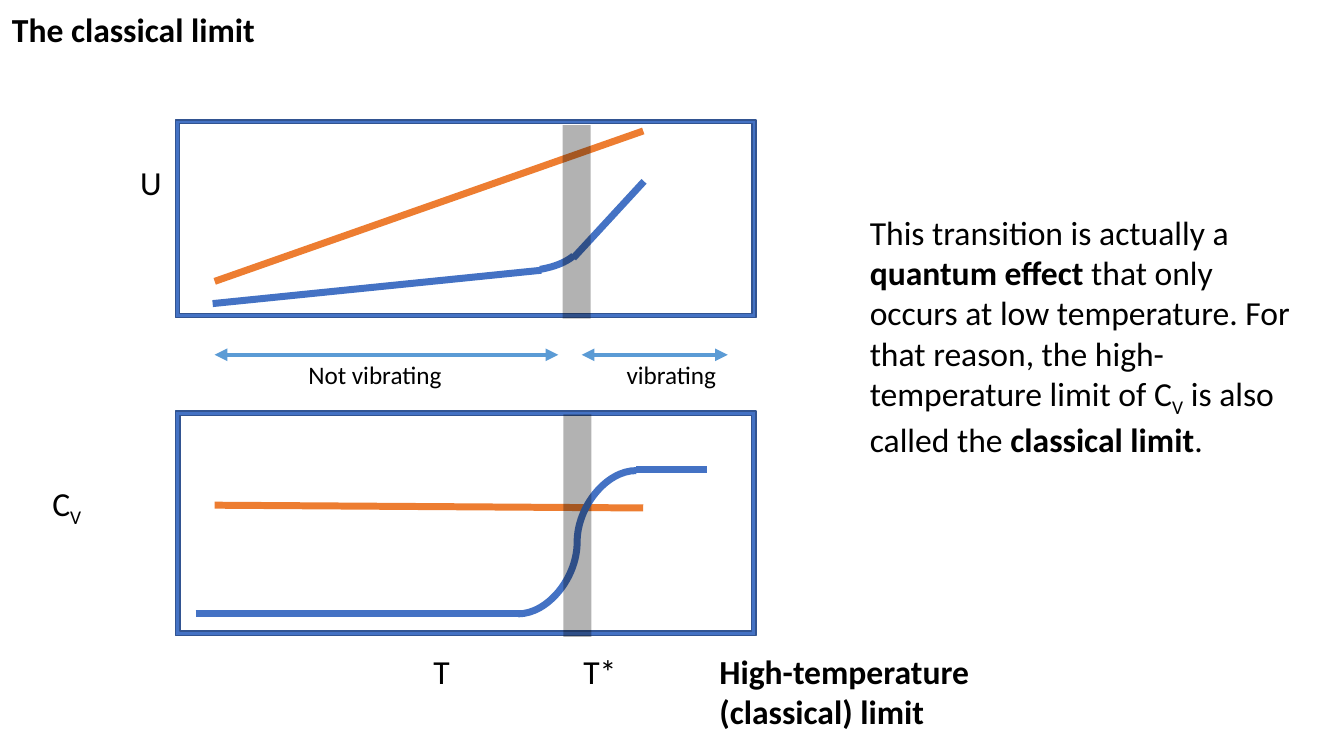
from pptx import Presentation
from pptx.dml.color import RGBColor as Rgb
from pptx.enum.shapes import MSO_CONNECTOR as Link, MSO_SHAPE as Kind
from pptx.oxml.ns import qn
from pptx.util import Cm, Pt
from lxml.etree import SubElement as Sub

HUES = {"black": "000000", "blue": "4472C4", "edge": "325491",
        "orange": "ED7D31", "sky": "5B9BD5"}


def hue(name):
    return Rgb.from_string(HUES[name])


def text(slide, box, words, size=24, bold=False):
    """Write words; a list holds (string, style) runs, style "b" or "sub"."""
    frame = slide.shapes.add_textbox(*map(Cm, box)).text_frame
    frame.word_wrap = True
    runs = [(words, "")] if isinstance(words, str) else words
    for part, style in runs:
        run = frame.paragraphs[0].add_run()
        run.text = part
        font = run.font
        font.name, font.size = "Calibri", Pt(size)
        font.bold = bold or style == "b"
        font.color.rgb = hue("black")
        if style == "sub":
            run._r.get_or_add_rPr().set("baseline", "-25000")


def line(slide, start, end, color, width=5, kind=Link.STRAIGHT,
         heads=False, alpha=None):
    link = slide.shapes.add_connector(kind, *map(Cm, (*start, *end)))
    link.line.color.rgb = hue(color)
    link.line.width = Pt(width)
    props = link._element.spPr
    stroke = props.find(qn("a:ln"))
    if alpha:
        tint = stroke.find(".//" + qn("a:srgbClr"))
        Sub(tint, qn("a:alpha")).set("val", str(alpha * 1000))
    if heads:
        for tip in ("a:headEnd", "a:tailEnd"):
            Sub(stroke, qn(tip)).set("type", "triangle")
    Sub(props, qn("a:effectLst"))


def shape(slide, kind, box, adjust, edge, width, fill=None):
    form = slide.shapes.add_shape(kind, *map(Cm, box))
    form.shadow.inherit = False
    for i, value in enumerate(adjust):
        form.adjustments[i] = value
    if fill:
        form.fill.solid()
        form.fill.fore_color.rgb = hue(fill)
    else:
        form.fill.background()
    form.line.color.rgb = hue(edge)
    form.line.width = Pt(width)


def plot(slide, box, lines):
    """Draw a framed plot; return a function that moves points into it."""
    left, top = box[:2]

    def at(x, y):
        return left + x, top + y

    shape(slide, Kind.FRAME, box, [0.02], "edge", 1, "blue")
    for start, end, color in lines:
        line(slide, at(*start), at(*end), color)
    return at


def band(slide, start, end):
    line(slide, start, end, "black", 20, alpha=30)


def energy(slide, box):
    at = plot(slide, box, [
        ((0.94, 4.63), (9.22, 3.79), "blue"),
        ((0.99, 4.07), (11.79, 0.28), "orange"),
        ((10.03, 3.48), (11.81, 1.55), "blue")])
    # Bend between the two slopes
    shape(slide, Kind.ARC, (*at(7.14, 2.29), 3.1, 1.52),
          [9.398, 33.059], "blue", 5)
    text(slide, (*at(-1.14, 0.94), 2.97, 0.94), "U")
    band(slide, at(10.11, 0.13), at(10.11, 5.01))


def heat(slide, box):
    at = plot(slide, box, [
        ((0.51, 5.11), (8.79, 5.11), "blue"),
        ((0.99, 2.37), (11.79, 2.44), "orange"),
        ((11.61, 1.48), (13.39, 1.48), "blue")])
    # Step up to the limit
    line(slide, at(8.64, 5.11), at(11.61, 1.5), "blue", kind=Link.CURVE)
    # Axis labels
    text(slide, (*at(-3.35, 1.68), 2.97, 1.27), [("C", ""), ("V", "sub")])
    for x, name in ((6.25, "T"), (10.03, "T*")):
        text(slide, (*at(x, 5.92), 2.97, 1.27), name)
    text(slide, (*at(13.46, 5.92), 8.66, 2.31),
         "High-temperature (classical) limit", bold=True)
    band(slide, at(10.13, 0.08), at(10.13, 5.69))


def spans(slide, box):
    left, top, width, high = box
    for start, end, label, wide, name in (
            (0, 8.66, 2.11, 4.67, "Not vibrating"),
            (9.25, width, 10.13, 3, "vibrating")):
        line(slide, (left + start, top), (left + end, top), "sky", 3,
             heads=True)
        text(slide, (left + label, top, wide, high), name, size=18)


def notes(slide, box):
    text(slide, box, [
        ("This transition is actually a ", ""),
        ("quantum effect", "b"),
        (" that only occurs at low temperature. For that reason, "
         "the high-temperature limit of C", ""),
        ("V", "sub"),
        (" is also called the ", ""),
        ("classical limit", "b"),
        (".", "")])


def main():
    deck = Presentation()
    deck.slide_width, deck.slide_height = Cm(33.87), Cm(19.05)
    slide = deck.slides.add_slide(deck.slide_layouts[6])
    text(slide, (0.05, 0.1, 32.03, 1.27), "The classical limit", bold=True)
    notes(slide, (21.67, 5.21, 11.3, 6.4))
    energy(slide, (4.42, 3.02, 14.63, 4.98))
    spans(slide, (5.41, 8.94, 12.93, 1.02))
    heat(slide, (4.42, 10.36, 14.63, 5.66))
    deck.save("out.pptx")


if __name__ == "__main__":
    main()
